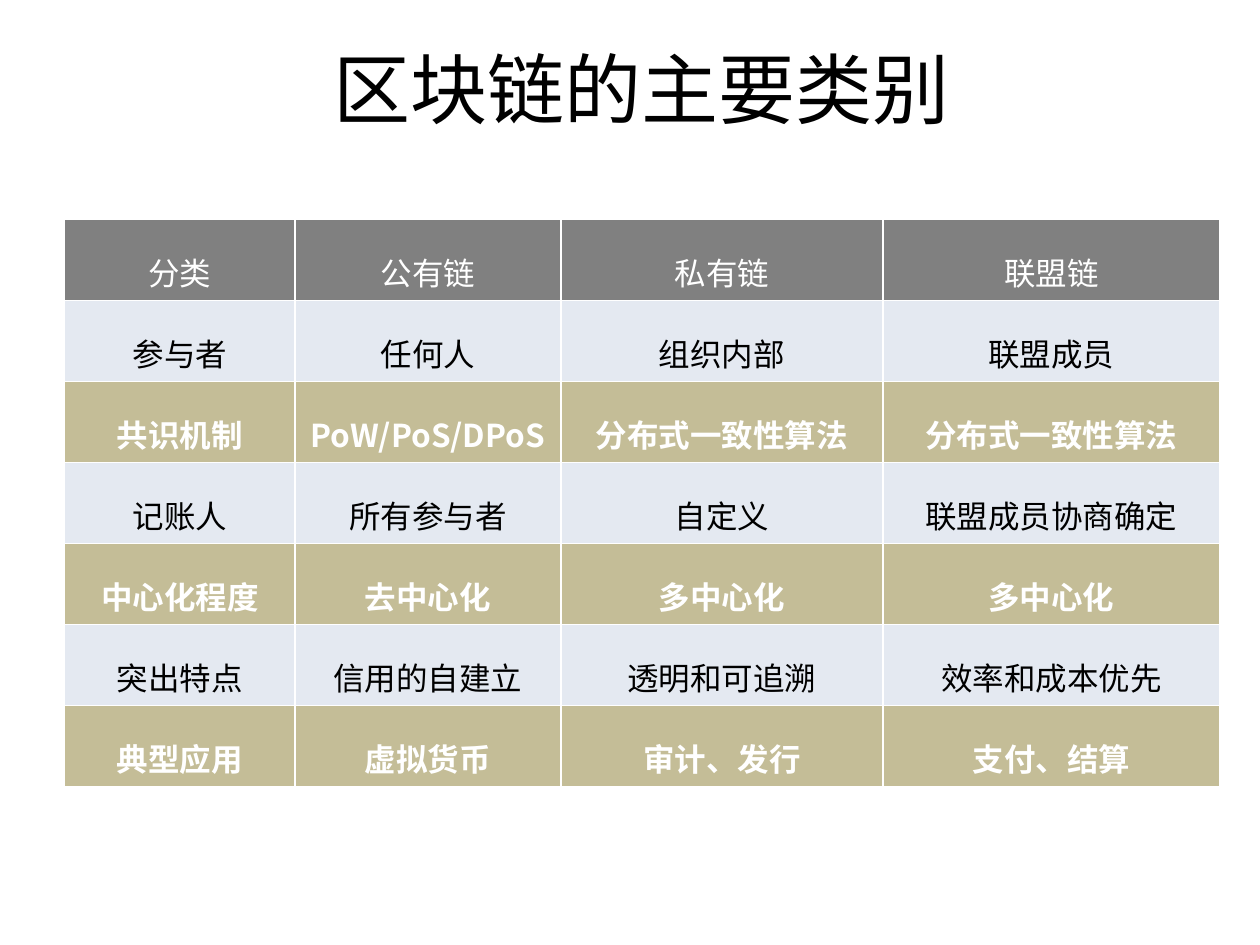
from pptx import Presentation
from pptx.dml.color import RGBColor
from pptx.enum.text import MSO_ANCHOR as Anchor, PP_ALIGN as Align
from pptx.oxml import parse_xml
from pptx.oxml.ns import nsdecls
from pptx.util import Pt

WIDTHS = [131.5, 152, 184, 192.5]
ROWS = [
    ["分类", "公有链", "私有链", "联盟链"],
    ["参与者", "任何人", "组织内部", "联盟成员"],
    ["共识机制", "PoW/PoS/DPoS", "分布式一致性算法", "分布式一致性算法"],
    ["记账人", "所有参与者", "自定义", "联盟成员协商确定"],
    ["中心化程度", "去中心化", "多中心化", "多中心化"],
    ["突出特点", "信用的自建立", "透明和可追溯", "效率和成本优先"],
    ["典型应用", "虚拟货币", "审计、发行", "支付、结算"],
]


def color(code):
    return RGBColor.from_string(code)


class Deck:
    """Holds the style and the current slide, and adds its elements."""

    white, black = "FFFFFF", "000000"
    gray, pale, tan = "808080", "E4E9F1", "C4BD97"
    head, body = "Calibri", "Noto Sans CJK SC"

    def __init__(self):
        self.file = Presentation()
        self.file.slide_width, self.file.slide_height = Pt(720), Pt(540)
        self.slide = self.file.slides.add_slide(self.file.slide_layouts[5])

    def label(self, frame, text, size, face, ink, bold=False):
        frame.text = text
        para = frame.paragraphs[0]
        para.alignment = Align.CENTER
        font = para.font
        font.size, font.name, font.bold = Pt(size), face, bold
        font.color.rgb = color(ink)
        east = parse_xml(f'<a:ea {nsdecls("a")} typeface="{self.body}"/>')
        para._p.pPr.defRPr.append(east)
        return para

    def title(self, text, left, top, width, height):
        shape = self.slide.shapes.title
        shape.left, shape.top = Pt(left), Pt(top)
        shape.width, shape.height = Pt(width), Pt(height)
        shape.text_frame.vertical_anchor = Anchor.MIDDLE
        self.label(shape.text_frame, text, 44, self.head, self.black)

    def border(self, cell):
        props = cell._tc.get_or_add_tcPr()
        for spot, side in enumerate("LRTB"):
            props.insert(spot, parse_xml(
                f'<a:ln{side} {nsdecls("a")} w="{Pt(1)}"><a:solidFill>'
                f'<a:srgbClr val="{self.white}"/></a:solidFill></a:ln{side}>'))

    def cell(self, cell, text, fill, ink, bold):
        cell.fill.solid()
        cell.fill.fore_color.rgb = color(fill)
        self.border(cell)
        para = self.label(cell.text_frame, text, 18, self.body, ink, bold)
        para.line_spacing = 1.5

    def table(self, rows, widths, left, top, pitch):
        grid = self.slide.shapes.add_table(
            len(rows), len(widths), Pt(left), Pt(top),
            Pt(sum(widths)), Pt(pitch * len(rows))).table
        grid.horz_banding = False
        for col, width in zip(grid.columns, widths):
            col.width = Pt(width)
        for r, row in enumerate(rows):
            grid.rows[r].height = Pt(pitch)
            if r == 0:
                look = self.gray, self.white, False
            elif r % 2:
                look = self.pale, self.black, False
            else:
                look = self.tan, self.white, True
            for c, text in enumerate(row):
                self.cell(grid.cell(r, c), text, *look)


def main():
    deck = Deck()
    deck.title("区块链的主要类别", 60, 19, 613, 62)
    deck.table(ROWS, WIDTHS, 37, 125.5, 46.3)
    deck.file.save("out.pptx")


if __name__ == "__main__":
    main()
